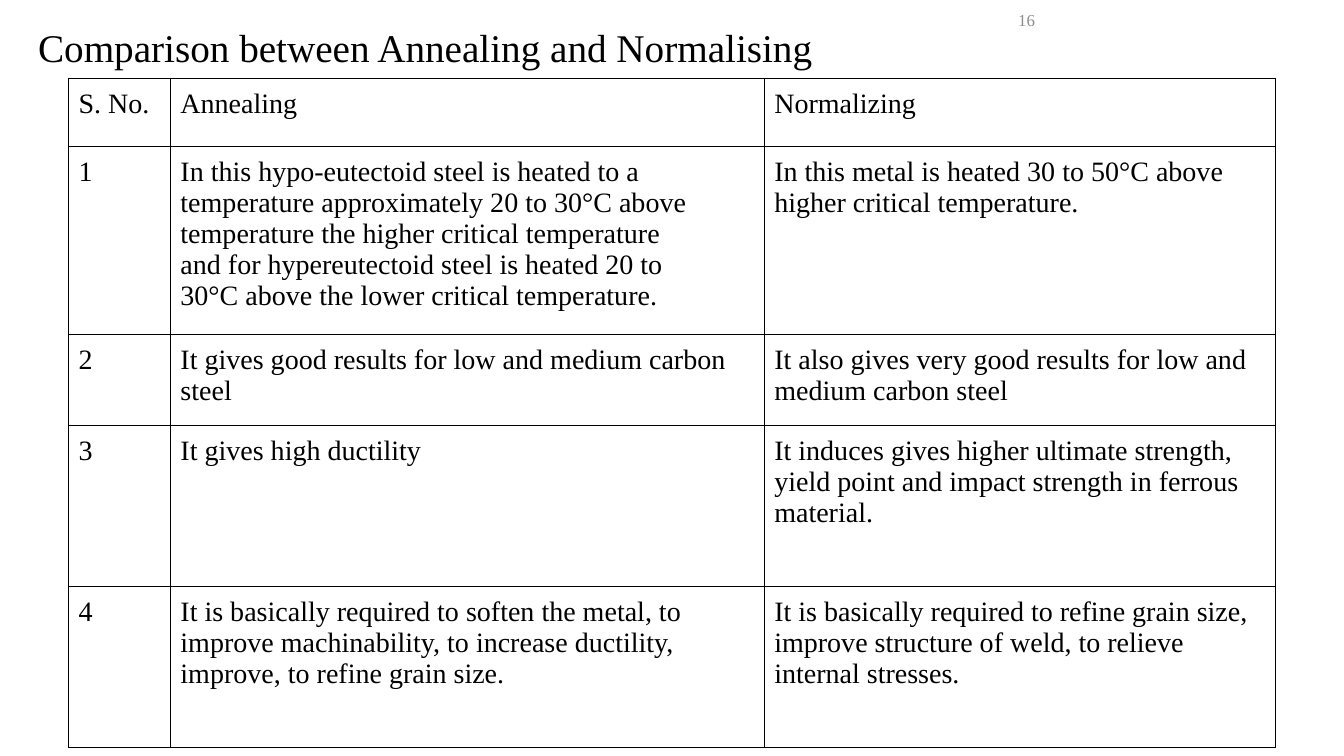
"""Build the slide comparing annealing with normalising."""
from dataclasses import dataclass

import pptx
import pptx.dml.color
import pptx.enum.text
import pptx.oxml
import pptx.oxml.ns
import pptx.util

PX = 9144
FONT = "Times New Roman"
BLACK = "000000"
GREY = "8C8C8C"
INSET = 10
COLUMN_WIDTHS = [101, 589, 507]


@dataclass
class Label:
    """A line of text in a box."""
    text: str
    left: int
    top: int
    width: int
    height: int
    size: int
    color: str
    spacing: float


@dataclass
class Row:
    """A table row and its height."""
    height: int
    number: str
    annealing: str
    normalizing: str


LABELS = [
    Label("Comparison between Annealing and Normalising", 28, 20, 900, 58, 28, BLACK, 0.9),
    Label("16", 1000, 2, 117, 36, 12, GREY, 1.0),
]

ROWS = [
    Row(67, "S. No.", "Annealing", "Normalizing"),
    Row(137, "1",
        "In this hypo-eutectoid steel is heated to a temperature approximately "
        "20 to 30°C above temperature the higher critical temperature\n"
        "and for hypereutectoid steel is heated 20 to\n"
        "30°C above the lower critical temperature.",
        "In this metal is heated 30 to 50°C above higher critical temperature."),
    Row(90, "2",
        "It gives good results for low and medium carbon steel",
        "It also gives very good results for low and medium carbon steel"),
    Row(160, "3",
        "It gives high ductility",
        "It induces gives higher ultimate strength,\n"
        "yield point and impact strength in ferrous\n"
        "material."),
    Row(160, "4",
        "It is basically required to soften the metal, to improve machinability, "
        "to increase ductility, improve, to refine grain size.",
        "It is basically required to refine grain size, improve structure of weld, "
        "to relieve internal stresses."),
]


def px(n: int) -> int:
    """Turn px into EMU."""
    return pptx.util.Emu(n * PX)


def rgb(value: str) -> pptx.dml.color.RGBColor:
    """Turn a hex string into a colour."""
    return pptx.dml.color.RGBColor.from_string(value)


def set_text(tf: pptx.text.text.TextFrame, text: str, size: int, color: str) -> None:
    """Fill a text frame and format its runs."""
    tf.text = text
    for p in tf.paragraphs:
        for r in p.runs:
            r.font.name = FONT
            r.font.size = pptx.util.Pt(size)
            r.font.color.rgb = rgb(color)


def add_label(s: pptx.slide.Slide, label: Label) -> None:
    """Draw a label centred vertically in its box."""
    sp = s.shapes.add_textbox(px(label.left), px(label.top), px(label.width), px(label.height))
    tf = sp.text_frame
    tf.word_wrap = True
    tf.vertical_anchor = pptx.enum.text.MSO_ANCHOR.MIDDLE
    set_text(tf, label.text, label.size, label.color)
    tf.paragraphs[0].line_spacing = label.spacing


def add_borders(cell: pptx.table._Cell, color: str) -> None:
    """Draw a line on all four sides of a cell."""
    tc_pr = cell._tc.get_or_add_tcPr()
    for i, side in enumerate(("lnL", "lnR", "lnT", "lnB")):
        tc_pr.insert(i, pptx.oxml.parse_xml(
            f'<a:{side} {pptx.oxml.ns.nsdecls("a")} w="12700"><a:solidFill>'
            f'<a:srgbClr val="{color}"/></a:solidFill></a:{side}>'))


def add_comparison(s: pptx.slide.Slide, rows: list[Row]) -> None:
    """Draw the comparison table."""
    table = s.shapes.add_table(len(rows), len(COLUMN_WIDTHS), px(68), px(78),
                               px(sum(COLUMN_WIDTHS)), px(663)).table
    table.first_row = table.horz_banding = False
    for column, width in zip(table.columns, COLUMN_WIDTHS):
        column.width = px(width)
    for table_row, row in zip(table.rows, rows):
        table_row.height = px(row.height)
        for cell, text in zip(table_row.cells, (row.number, row.annealing, row.normalizing)):
            cell.margin_left = cell.margin_right = px(INSET)
            cell.margin_top = cell.margin_bottom = px(INSET)
            cell.fill.background()
            set_text(cell.text_frame, text, 20, BLACK)
            add_borders(cell, BLACK)


def main() -> None:
    """Build and save the slide."""
    prs = pptx.Presentation()
    prs.slide_width, prs.slide_height = px(1333), px(750)
    s = prs.slides.add_slide(prs.slide_layouts[6])
    for label in LABELS:
        add_label(s, label)
    add_comparison(s, ROWS)
    prs.save("out.pptx")


if __name__ == "__main__":
    main()
